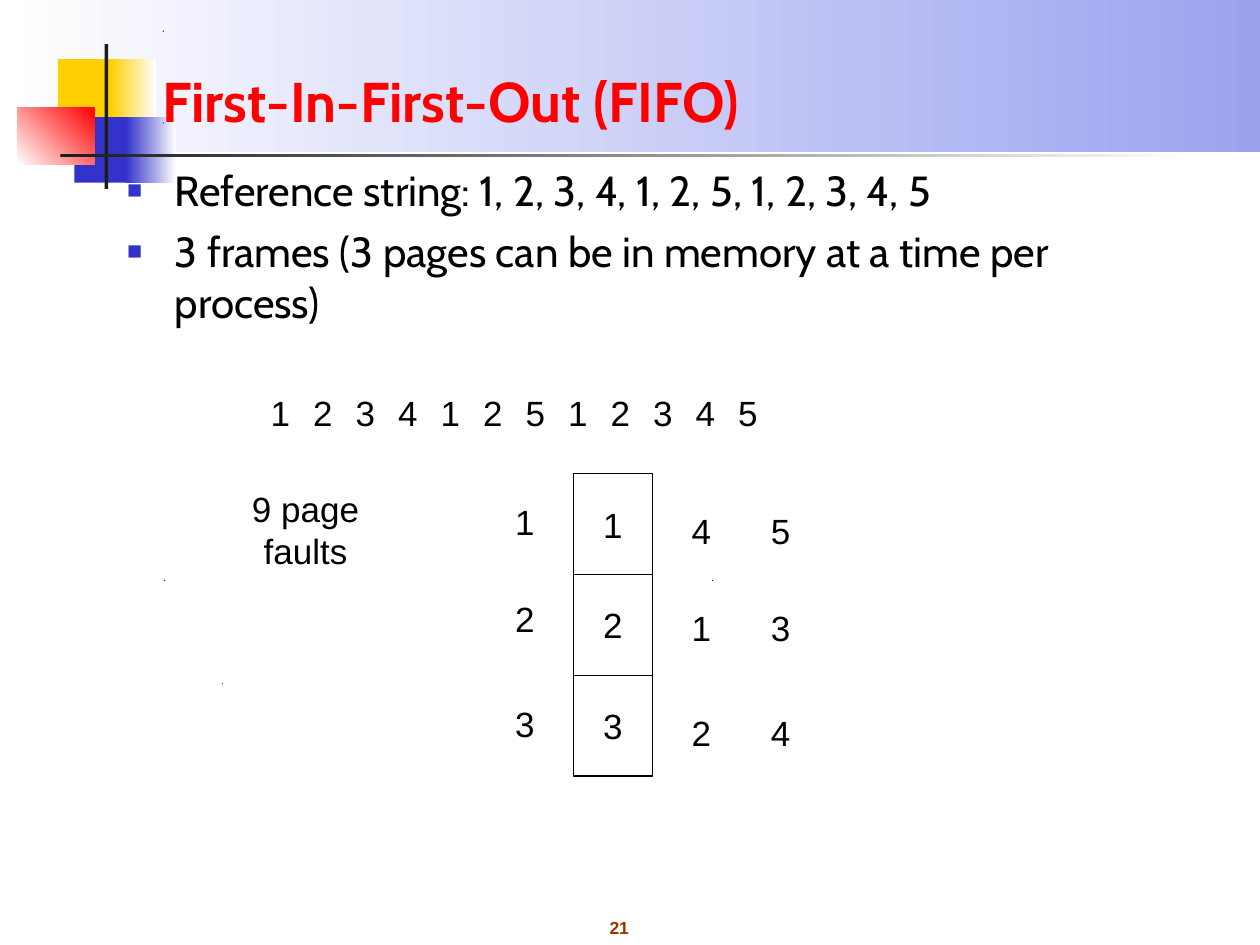
from lxml import etree
from pptx import Presentation, util as u
from pptx.dml import color
from pptx.enum import shapes, text
from pptx.oxml import ns


def rgb(value):
    return color.RGBColor.from_string(value)


class Deck:
    """Holds the style and the current slide, with a method per element."""

    body = {"name": "Arial", "size": u.Pt(20), "bold": False}
    number = {"name": "Arial", "size": u.Pt(10), "bold": True}
    title = {"name": "Cabin", "size": u.Pt(32), "bold": True}
    bullet = {"name": "Cabin", "size": u.Pt(24), "bold": False}
    centred = {"word_wrap": False, "vertical_anchor": text.MSO_ANCHOR.MIDDLE}
    wrapped = {"word_wrap": True, "vertical_anchor": text.MSO_ANCHOR.TOP}
    bottom = {"word_wrap": True, "vertical_anchor": text.MSO_ANCHOR.BOTTOM}

    def __init__(self, s):
        self.s = s

    def add_words(self, p, words, font, ink="000000", align=text.PP_ALIGN.CENTER):
        p.alignment = align
        r = p.add_run()
        r.text = words
        for name, value in font.items():
            setattr(r.font, name, value)
        r.font.color.rgb = rgb(ink)

    def frame(self, sp, layout):
        tf = sp.text_frame
        for name, value in layout.items():
            setattr(tf, name, value)
        return tf

    def rect(self, box, start, end=None, angle=0):
        sp = self.s.shapes.add_shape(shapes.MSO_SHAPE.RECTANGLE, *map(u.Inches, box))
        sp.shadow.inherit = False
        sp.line.fill.background()
        if end:
            sp.fill.gradient()
            sp.fill.gradient_angle = angle
            for stop, value in zip(sp.fill.gradient_stops, (start, end)):
                stop.color.rgb = rgb(value)
        else:
            sp.fill.solid()
            sp.fill.fore_color.rgb = rgb(start)
        return sp

    def speck(self, x, y):
        fb = self.s.shapes.build_freeform(u.Inches(x), u.Inches(y + 0.01))
        fb.add_line_segments([(u.Inches(x + 0.01), u.Inches(y)),
                              (u.Inches(x + 0.01), u.Inches(y + 0.01))])
        sp = fb.convert_to_shape()
        sp.shadow.inherit = False
        sp.fill.solid()
        sp.fill.fore_color.rgb = rgb("000000")
        sp.line.fill.background()

    def cell(self, box, words):
        sp = self.rect(box, "FFFFFF")
        sp.line.color.rgb = rgb("000000")
        sp.line.width = u.Pt(0.75)
        self.add_words(self.frame(sp, self.centred).paragraphs[0], words, self.body)

    def label(self, box, words, font=body, ink="000000", layout=centred,
              align=text.PP_ALIGN.CENTER):
        sp = self.s.shapes.add_textbox(*map(u.Inches, box))
        self.add_words(self.frame(sp, layout).paragraphs[0], words, font, ink, align)

    def bullets(self, box, items):
        sp = self.s.shapes.add_textbox(*map(u.Inches, box))
        tf = self.frame(sp, self.wrapped)
        for i, words in enumerate(items):
            p = tf.add_paragraph() if i else tf.paragraphs[0]
            pPr = p._p.get_or_add_pPr()
            pPr.set("marL", str(u.Inches(0.38)))
            pPr.set("indent", str(-u.Inches(0.38)))
            clr = etree.SubElement(pPr, ns.qn("a:buClr"))
            etree.SubElement(clr, ns.qn("a:srgbClr"), val="3333CC")
            etree.SubElement(pPr, ns.qn("a:buSzPct"), val="60000")
            etree.SubElement(pPr, ns.qn("a:buFont"), typeface="Arial")
            etree.SubElement(pPr, ns.qn("a:buChar"), char="■")
            if i:
                p.space_before = u.Pt(6)
            self.add_words(p, words, self.bullet, align=text.PP_ALIGN.LEFT)


def main():
    prs = Presentation()
    prs.slide_width, prs.slide_height = u.Inches(10), u.Inches(7.5)
    deck = Deck(prs.slides.add_slide(prs.slide_layouts[6]))

    for box, *fill in (
        ((0, 0, 10, 1.21), "FFFFFF", "9BA3EF"),
        ((0.46, 0.47, 0.48, 0.52), "FFCF01"),
        ((0.88, 0.47, 0.36, 0.52), "FFCF01", "FFFFFF"),
        ((0.59, 0.93, 0.46, 0.52), "3333CC"),
        ((1, 0.93, 0.4, 0.52), "3333CC", "FFFFFF"),
        ((0.14, 0.85, 0.61, 0.46), "FFFFFF", "FF0000", 45),
        ((0.83, 0.35, 0.03, 1.15), "1C1C1C"),
        ((0.48, 1.22, 9, 0.03), "1C1C1C", "FFFFFF"),
    ):
        deck.rect(box, *fill)
    for x, y in ((1.29, 0.24), (1.76, 5.42), (1.3, 4.6), (5.65, 4.6), (1.29, 0.97)):
        deck.speck(x, y)

    deck.label((4.48, 7.23, 0.87, 0.27), "21", deck.number, "993300")
    deck.label((1.19, 0.2, 8.52, 0.91), "First-In-First-Out (FIFO)", deck.title,
               "FF0000", deck.bottom, text.PP_ALIGN.LEFT)
    deck.bullets((0.91, 1.26, 8.29, 1.72), (
        "Reference string: 1, 2, 3, 4, 1, 2, 5, 1, 2, 3, 4, 5",
        "3 frames (3 pages can be in memory at a time per process)",
    ))

    references = "123412512345"
    first, last = 2.05, 5.76
    step = (last - first) / (len(references) - 1)
    for i, page in enumerate(references):
        deck.label((first + i * step, 3.05, 0.35, 0.44), page)

    deck.label((1.53, 3.98, 1.79, 0.44), "9 page faults")
    for i, page in enumerate("123"):
        deck.cell((4.55, 3.76 + i * 0.8, 0.63, 0.8), page)
    rows = (3.92, 4.69, 5.52)
    for x, drop, pages in ((3.99, 0, "123"), (5.39, 0.07, "412"), (6.02, 0.07, "534")):
        for y, page in zip(rows, pages):
            deck.label((x, y + drop, 0.35, 0.44), page)

    prs.save("out.pptx")


if __name__ == "__main__":
    main()
